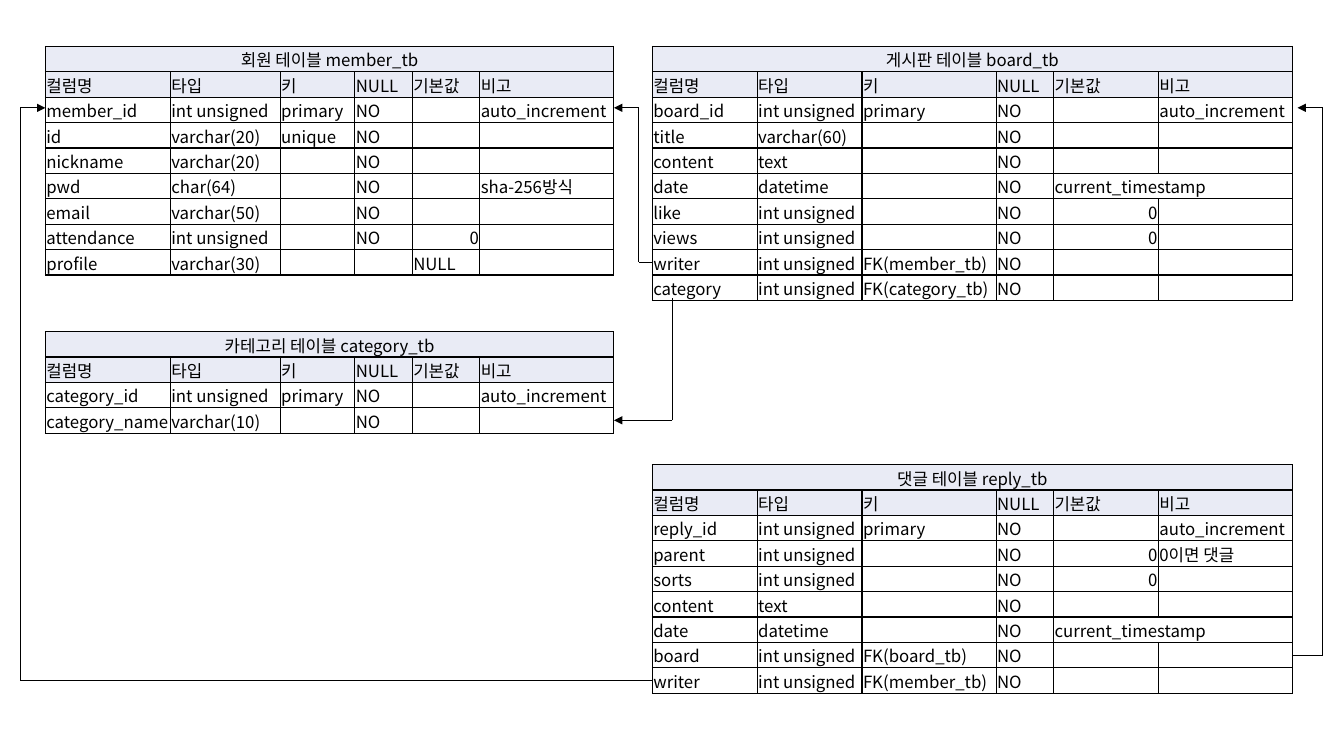
"""Draw a database schema of four tables joined by foreign key arrows."""
from itertools import accumulate, pairwise

from lxml import etree
from pptx import Presentation
from pptx import util as u
from pptx.dml.color import RGBColor
from pptx.enum import shapes, text
from pptx.oxml import ns

BLACK = RGBColor(0x00, 0x00, 0x00)
HEADER = RGBColor(0xE9, 0xEB, 0xF5)
COLUMNS = "컬럼명|타입|키|NULL|기본값|비고"
LEFT_COLS = (4.96, 4.36, 2.96, 2.28, 2.68, 5.32)
RIGHT_COLS = (4.16, 4.16, 5.32, 2.28, 4.16, 5.32)
LEFT, RIGHT, TOP = 1.8, 25.88, 1.84
LEFT_END = list(accumulate(LEFT_COLS, initial=LEFT))[-1]
RIGHT_END = list(accumulate(RIGHT_COLS, initial=RIGHT))[-1]
KEY_ROW = 4.28

MEMBER = """member_id|int unsigned|primary|NO||auto_increment
id|varchar(20)|unique|NO||
nickname|varchar(20)||NO||
pwd|char(64)||NO||sha-256방식
email|varchar(50)||NO||
attendance|int unsigned||NO|0|
profile|varchar(30)|||NULL|"""
BOARD = """board_id|int unsigned|primary|NO||auto_increment
title|varchar(60)||NO||
content|text||NO||
date|datetime||NO|current_timestamp|
like|int unsigned||NO|0|
views|int unsigned||NO|0|
writer|int unsigned|FK(member_tb)|NO||
category|int unsigned|FK(category_tb)|NO||"""
CATEGORY = """category_id|int unsigned|primary|NO||auto_increment
category_name|varchar(10)||NO||"""
REPLY = """reply_id|int unsigned|primary|NO||auto_increment
parent|int unsigned||NO|0|0이면 댓글
sorts|int unsigned||NO|0|
content|text||NO||
date|datetime||NO|current_timestamp|
board|int unsigned|FK(board_tb)|NO||
writer|int unsigned|FK(member_tb)|NO||"""


def add(parent, tag, **attrs):
    return etree.SubElement(parent, ns.qn(tag), **attrs)


class Schema:
    """Hold the style and the slide; lengths are in grid steps of one table row."""

    step, font, size = u.Inches(0.25), "Noto Sans CJK KR", u.Pt(12)
    border, rule = u.Pt(1), u.Pt(0.5)

    def __init__(self, s):
        self.s = s

    def at(self, *lengths):
        return [round(n * self.step) for n in lengths]

    def cell(self, cell, words, align, filled):
        cell.margin_left = cell.margin_top = cell.margin_right = u.Inches(0.01)
        cell.margin_bottom = 0
        cell.vertical_anchor = text.MSO_ANCHOR.MIDDLE
        if filled:
            cell.fill.solid()
            cell.fill.fore_color.rgb = HEADER
        else:
            cell.fill.background()
        tc_pr = cell._tc.get_or_add_tcPr()
        for i, side in enumerate("LRTB"):
            ln = add(tc_pr, f"a:ln{side}", w=str(self.border))
            add(add(ln, "a:solidFill"), "a:srgbClr", val=str(BLACK))
            tc_pr.insert(i, ln)
        p = cell.text_frame.paragraphs[0]
        p.alignment = align
        if not words:
            add(p._p, "a:endParaRPr", sz=str(int(self.size.pt * 100)))
            return
        r = p.add_run()
        r.text = words
        r.font.size, r.font.name = self.size, self.font
        r.font.color.rgb = BLACK
        add(r.font._element, "a:ea", typeface=self.font)

    def table(self, x, y, cols, title, body):
        rows = [[title] + [""] * 5]
        rows += [line.split("|") for line in [COLUMNS, *body.splitlines()]]
        frame = self.s.shapes.add_table(
            len(rows), len(cols), *self.at(x, y, sum(cols), len(rows)))
        tb = frame.table
        tb.first_row = tb.horz_banding = False
        for col, width in zip(tb.columns, self.at(*cols)):
            col.width = width
        for i, row in enumerate(rows):
            tb.rows[i].height = self.step
            for j, words in enumerate(row):
                align = text.PP_ALIGN.LEFT
                if i == 0:
                    align = text.PP_ALIGN.CENTER
                elif words == "0":
                    align = text.PP_ALIGN.RIGHT
                self.cell(tb.cell(i, j), words, align, i < 2)
            if "current_timestamp" in row:
                tb.cell(i, 4).merge(tb.cell(i, 5))
        tb.cell(0, 0).merge(tb.cell(0, 5))

    def route(self, *points):
        for start, end in pairwise(points):
            line = self.s.shapes.add_connector(
                shapes.MSO_CONNECTOR.STRAIGHT, *self.at(*start, *end))
            line.line.color.rgb = BLACK
            line.line.width = self.rule
            add(line._element.spPr, "a:effectLst")
        add(line.line._get_or_add_ln(), "a:tailEnd", type="triangle")


prs = Presentation()
prs.slide_width, prs.slide_height = u.Inches(13.33), u.Inches(7.5)
s = Schema(prs.slides.add_slide(prs.slide_layouts[6]))

s.table(LEFT, TOP, LEFT_COLS, "회원 테이블 member_tb", MEMBER)
s.table(RIGHT, TOP, RIGHT_COLS, "게시판 테이블 board_tb", BOARD)
s.table(LEFT, 13.16, LEFT_COLS, "카테고리 테이블 category_tb", CATEGORY)
s.table(RIGHT, 18.44, RIGHT_COLS, "댓글 테이블 reply_tb", REPLY)

s.route((RIGHT, 27), (0.8, 27), (0.8, KEY_ROW), (LEFT, KEY_ROW))
s.route((RIGHT_END, 26), (52.48, 26), (52.48, KEY_ROW), (51.48, KEY_ROW))
s.route((26.68, 11.84), (26.68, 16.68), (LEFT_END, 16.68))
s.route((RIGHT, 10.4), (25.34, 10.4), (25.34, KEY_ROW), (LEFT_END, KEY_ROW))

prs.save("out.pptx")
